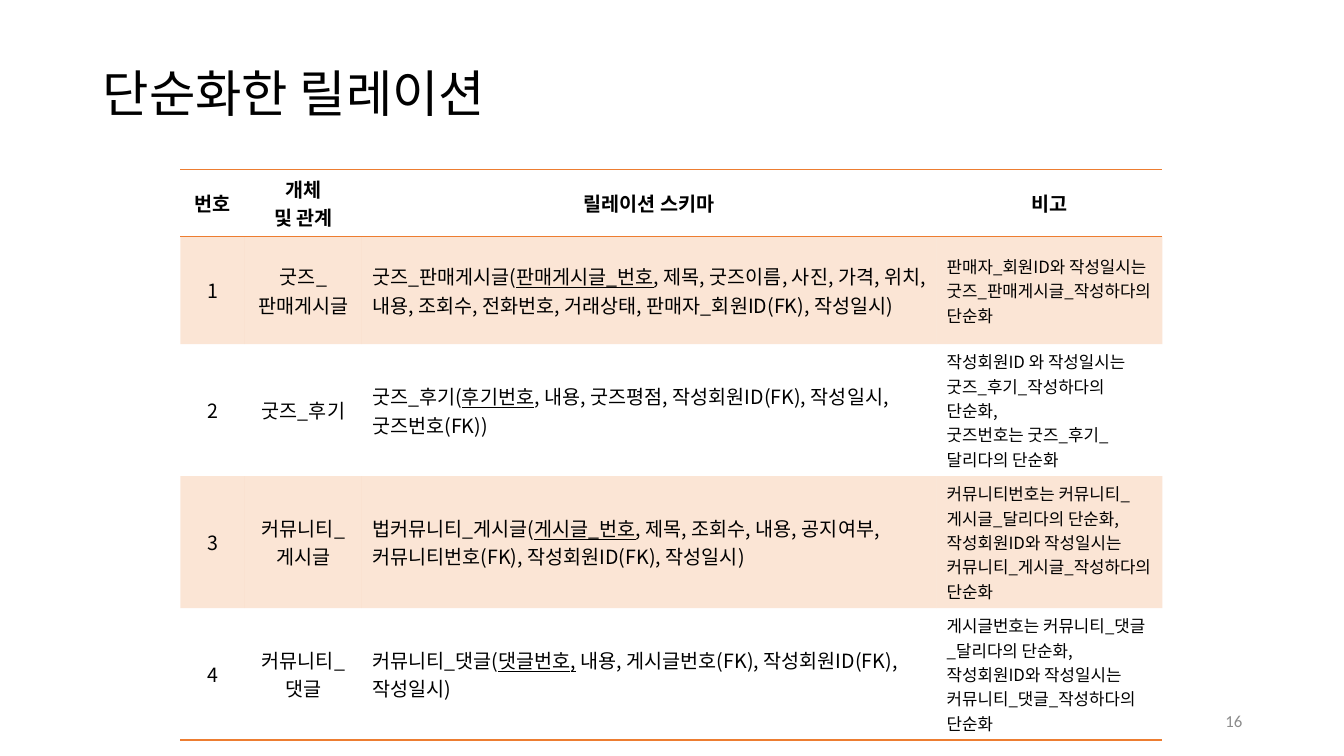
from lxml.etree import SubElement
from pptx import Presentation
from pptx.dml.color import RGBColor
from pptx.enum.text import MSO_ANCHOR, PP_ALIGN
from pptx.oxml import parse_xml
from pptx.oxml.ns import nsdecls, qn
from pptx.util import Inches, Pt

KOREAN_FONT = "Noto Sans CJK KR"
BLACK, ORANGE, GRAY = "000000", "ED7D31", "8C8C8C"
NO_GRID_STYLE = "{2D5ABB26-0587-4C30-8999-92F81FD0307C}"

TITLE = "단순화한 릴레이션"
PAGE_NUMBER = "16"
HEADERS = ["번호", "개체 및\u00a0관계", "릴레이션 스키마", "비고"]
# Relation name, key, remaining attributes, remarks
RELATIONS = [
    ("굿즈_판매게시글", "굿즈_판매게시글(", "판매게시글_번호",
     ", 제목, 굿즈이름, 사진, 가격, 위치, 내용, 조회수, 전화번호, 거래상태, 판매자_회원ID(FK), 작성일시)",
     ["판매자_회원ID와 작성일시는 굿즈_판매게시글_작성하다의 단순화"]),
    ("굿즈_후기", "굿즈_후기(", "후기번호",
     ", 내용, 굿즈평점, 작성회원ID(FK), 작성일시, 굿즈번호(FK))",
     ["작성회원ID 와 작성일시는 굿즈_후기_작성하다의 단순화,",
      "굿즈번호는 굿즈_후기_달리다의 단순화"]),
    ("커뮤니티_게시글", "법커뮤니티_게시글(", "게시글_번호",
     ", 제목, 조회수, 내용, 공지여부, 커뮤니티번호(FK), 작성회원ID(FK), 작성일시)",
     ["커뮤니티번호는 커뮤니티_게시글_달리다의 단순화,",
      "작성회원ID와 작성일시는 커뮤니티_게시글_작성하다의 단순화"]),
    ("커뮤니티_댓글", "커뮤니티_댓글(", "댓글번호,",
     " 내용, 게시글번호(FK), 작성회원ID(FK), 작성일시)",
     ["게시글번호는 커뮤니티_댓글_달리다의 단순화,",
      "작성회원ID와 작성일시는 커뮤니티_댓글_작성하다의 단순화"]),
]
COLUMN_WIDTHS = [0.64, 1.16, 5.7, 2.24]
ROW_HEIGHTS = [0.42, 0.74, 0.91, 1.07, 1.07]


def color(hex_string):
    return RGBColor.from_string(hex_string)


def add_run(paragraph, text, size, bold=False, underline=False,
            font_name=KOREAN_FONT, hex_color=BLACK):
    run = paragraph.add_run()
    run.text = text
    font = run.font
    font.size, font.bold, font.underline = Pt(size), bold, underline
    font.color.rgb = color(hex_color)
    font.name = font_name
    east_asian = SubElement(font._element, qn("a:ea"))
    east_asian.set("typeface", font_name)
    font._element.find(qn("a:latin")).addnext(east_asian)


def fill_cell(cell, paragraphs, size=14, bold=False, align=PP_ALIGN.CENTER):
    """Write paragraphs, each a list of (text, underlined) pairs."""
    cell.vertical_anchor = MSO_ANCHOR.MIDDLE
    frame = cell.text_frame
    for index, runs in enumerate(paragraphs):
        paragraph = frame.add_paragraph() if index else frame.paragraphs[0]
        paragraph.alignment = align
        for text, underlined in runs:
            add_run(paragraph, text, size, bold, underlined)


def shade(cell):
    cell.fill.solid()
    cell.fill.fore_color.rgb = color(ORANGE)
    rgb = cell._tc.tcPr.find(f"{qn('a:solidFill')}/{qn('a:srgbClr')}")
    SubElement(rgb, qn("a:alpha")).set("val", "20000")


def add_borders(cell, *tags):
    properties = cell._tc.get_or_add_tcPr()
    for index, tag in enumerate(tags):
        properties.insert(index, parse_xml(
            f'<a:{tag} w="{Pt(1)}" {nsdecls("a")}><a:solidFill>'
            f'<a:srgbClr val="{ORANGE}"/></a:solidFill></a:{tag}>'))


def add_relation_table(slide):
    frame = slide.shapes.add_table(
        len(ROW_HEIGHTS), len(COLUMN_WIDTHS), Inches(1.79), Inches(1.68),
        Inches(sum(COLUMN_WIDTHS)), Inches(sum(ROW_HEIGHTS)))
    table = frame.table
    table._tbl.tblPr.find(qn("a:tableStyleId")).text = NO_GRID_STYLE
    for column, width in zip(table.columns, COLUMN_WIDTHS):
        column.width = Inches(width)
    for row, height in zip(table.rows, ROW_HEIGHTS):
        row.height = Inches(height)

    for column, header in enumerate(HEADERS):
        cell = table.cell(0, column)
        fill_cell(cell, [[(header, False)]], bold=True)
        add_borders(cell, "lnT", "lnB")

    for number, (name, opening, key, rest, remarks) in enumerate(RELATIONS, 1):
        cells = list(table.rows[number].cells)
        fill_cell(cells[0], [[(str(number), False)]])
        fill_cell(cells[1], [[(name, False)]])
        fill_cell(cells[2], [[(opening, False), (key, True), (rest, False)]],
                  align=PP_ALIGN.LEFT)
        fill_cell(cells[3], [[(remark, False)] for remark in remarks],
                  size=12, align=PP_ALIGN.LEFT)
        for cell in cells:
            if number % 2:
                shade(cell)
            else:
                cell.fill.background()
            if number == len(RELATIONS):
                add_borders(cell, "lnB")


def main():
    presentation = Presentation()
    presentation.slide_width, presentation.slide_height = Inches(13.33), Inches(7.5)
    slide = presentation.slides.add_slide(presentation.slide_layouts[5])

    title = slide.shapes.title
    title.left, title.top = Inches(0.92), Inches(0.23)
    title.width, title.height = Inches(11.5), Inches(1.45)
    title.text_frame.vertical_anchor = MSO_ANCHOR.MIDDLE
    paragraph = title.text_frame.paragraphs[0]
    paragraph.alignment, paragraph.line_spacing = PP_ALIGN.LEFT, 0.9
    add_run(paragraph, TITLE, 36)

    add_relation_table(slide)

    page = slide.shapes.add_textbox(Inches(9.42), Inches(6.95), Inches(3), Inches(0.4))
    page.text_frame.word_wrap = True
    page.text_frame.vertical_anchor = MSO_ANCHOR.MIDDLE
    paragraph = page.text_frame.paragraphs[0]
    paragraph.alignment = PP_ALIGN.RIGHT
    add_run(paragraph, PAGE_NUMBER, 12, font_name="Calibri", hex_color=GRAY)

    presentation.save("out.pptx")


if __name__ == "__main__":
    main()
